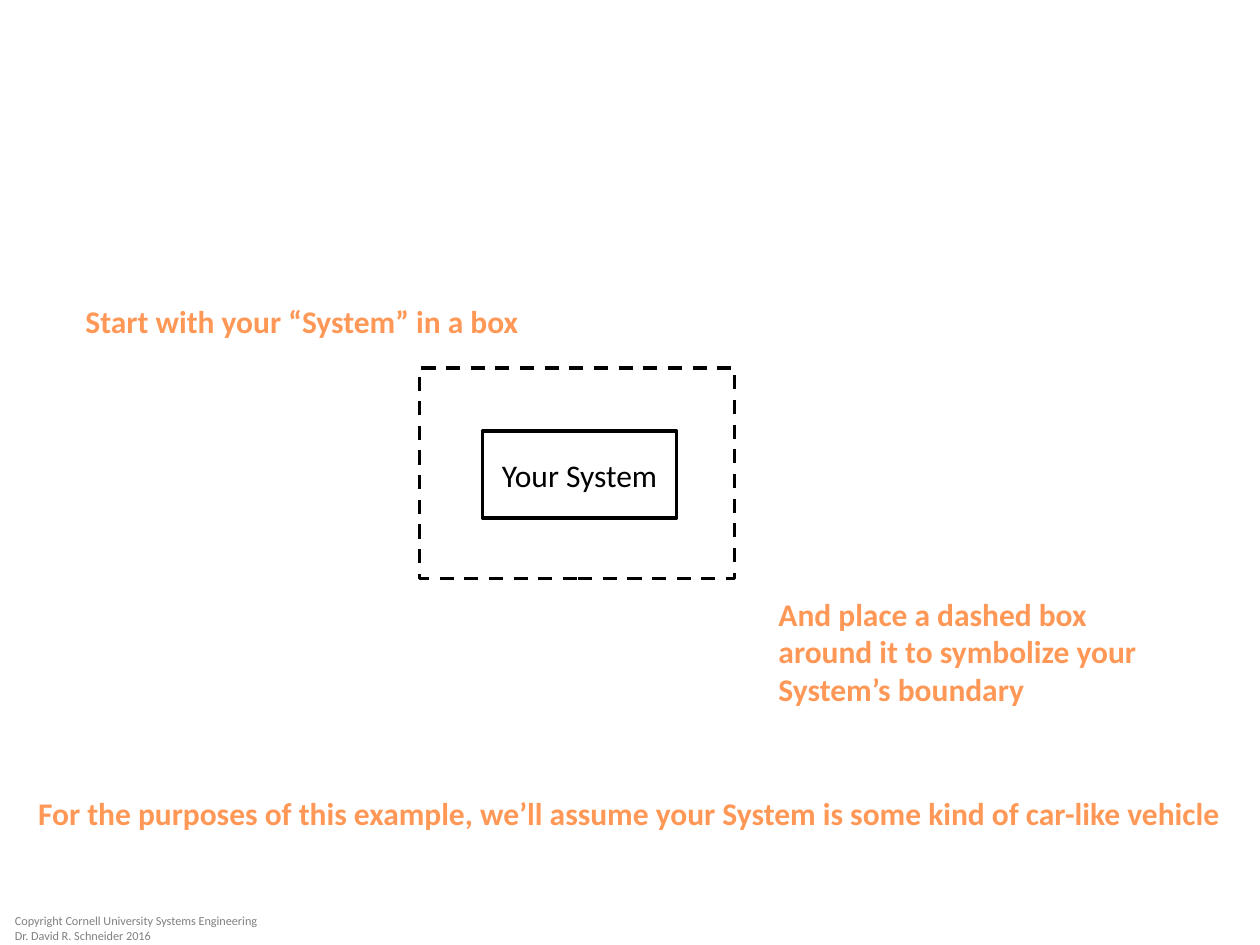
"""Build a slide that introduces a system box and its dashed boundary."""
import pptx
import pptx.dml.color
import pptx.enum.dml
import pptx.enum.shapes
import pptx.enum.text
import pptx.util
from pptx.util import Inches

LEFT = pptx.enum.text.PP_ALIGN.LEFT
CENTER = pptx.enum.text.PP_ALIGN.CENTER


def color(hex_value):
    """Return the colour for a hex string."""
    return pptx.dml.color.RGBColor.from_string(hex_value)


def write(frame, lines, size, hex_value, bold=False, align=LEFT):
    """Fill a text frame with formatted lines."""
    frame.text = lines
    for paragraph in frame.paragraphs:
        paragraph.alignment = align
        for run in paragraph.runs:
            run.font.name = "Calibri"
            run.font.size = pptx.util.Pt(size)
            run.font.bold = bold
            run.font.color.rgb = color(hex_value)


deck = pptx.Presentation()
deck.slide_width, deck.slide_height = Inches(10), Inches(7.5)
slide = deck.slides.add_slide(deck.slide_layouts[6])

copyright_note = slide.shapes.add_textbox(Inches(0.02), Inches(7.2), Inches(2.17), Inches(0.34))
copyright_note.text_frame.word_wrap = False
write(copyright_note.text_frame,
      "Copyright Cornell University Systems Engineering\nDr. David R. Schneider 2016",
      7, "808080")

boxes = [
    (3.83, 3.42, 1.54, 0.69, "Your System", pptx.enum.dml.MSO_LINE.SOLID),
    (3.33, 2.92, 2.5, 1.67, "", pptx.enum.dml.MSO_LINE.DASH),
]
for left, top, width, height, label, dash in boxes:
    box = slide.shapes.add_shape(pptx.enum.shapes.MSO_SHAPE.RECTANGLE,
                                 Inches(left), Inches(top), Inches(width), Inches(height))
    box.shadow.inherit = False
    box.fill.background()
    box.line.color.rgb = color("000000")
    box.line.width = pptx.util.Pt(2)
    box.line.dash_style = dash
    box.text_frame.vertical_anchor = pptx.enum.text.MSO_ANCHOR.MIDDLE
    write(box.text_frame, label, 18, "000000", align=CENTER)

steps = [
    (0.58, 2.35, 3.64, 0.4, "Start with your “System” in a box", False, LEFT),
    (6.08, 4.67, 3.42, 1.01,
     "And place a dashed box around it to symbolize your System’s boundary", True, LEFT),
    (0.08, 6.25, 9.83, 0.4,
     "For the purposes of this example, we’ll assume your System is some kind of car-like vehicle",
     True, CENTER),
]
for left, top, width, height, sentence, wrap, align in steps:
    step = slide.shapes.add_textbox(Inches(left), Inches(top), Inches(width), Inches(height))
    step.text_frame.word_wrap = wrap
    write(step.text_frame, sentence, 18, "FF9856", bold=True, align=align)

deck.save("out.pptx")
